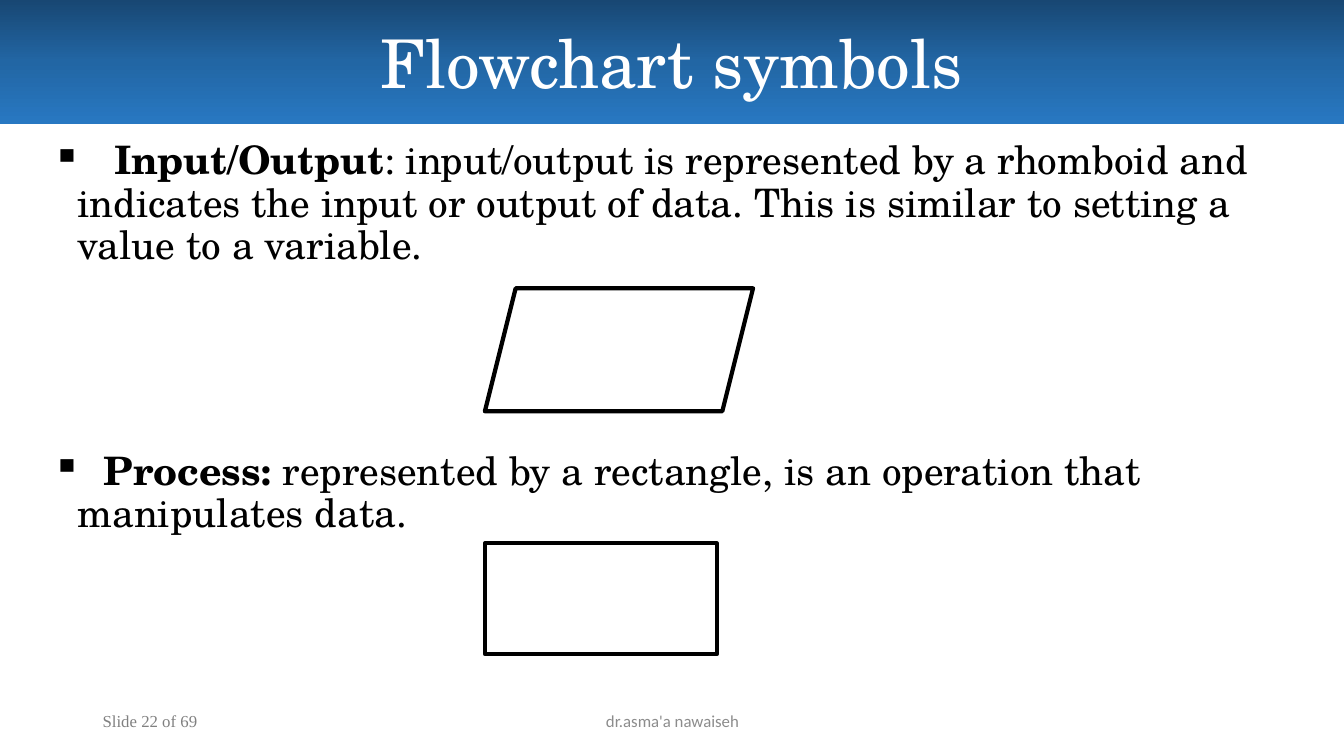
from typing import NamedTuple

from lxml import etree
from pptx import Presentation
from pptx.dml.color import RGBColor
from pptx.enum.shapes import MSO_SHAPE
from pptx.enum.text import MSO_ANCHOR, PP_ALIGN
from pptx.oxml.ns import qn
from pptx.util import Inches, Pt

RECT, RHOMBOID = MSO_SHAPE.RECTANGLE, MSO_SHAPE.PARALLELOGRAM
LEFT, CENTER = PP_ALIGN.LEFT, PP_ALIGN.CENTER
TOP, MIDDLE = MSO_ANCHOR.TOP, MSO_ANCHOR.MIDDLE
SLIDE_W, SLIDE_H = 13.33, 7.5
SERIF = "TeX Gyre Schola"


class Box(NamedTuple):
    """Left, top, width and height as percentages of the slide."""
    x: float
    y: float
    w: float
    h: float

    def emu(self):
        return (Inches(self.x * SLIDE_W / 100), Inches(self.y * SLIDE_H / 100),
                Inches(self.w * SLIDE_W / 100), Inches(self.h * SLIDE_H / 100))


class Symbol(NamedTuple):
    shape: MSO_SHAPE
    box: Box


class Definition(NamedTuple):
    term: str
    text: str
    gap: float      # extra width of the space after the bullet, points
    before: float   # space above, points


class Footer(NamedTuple):
    text: str
    box: Box
    font: str
    color: str
    align: PP_ALIGN


SYMBOLS = [
    Symbol(RHOMBOID, Box(36.08, 38.13, 19.95, 16.27)),
    Symbol(RECT, Box(36.08, 71.87, 17.25, 14.67)),
]
DEFINITIONS = [
    Definition("Input/Output", ": input/output is represented by a rhomboid and "
               "indicates the input or output of data. This is similar to "
               "setting a value to a variable.", 15.6, 0),
    Definition("Process:", " represented by a rectangle, is an operation that "
               "manipulates data.", 7.8, 131),
]
FOOTERS = [
    Footer("Slide 22 of 69", Box(6.9, 92.67, 22.5, 5.33),
           "Times New Roman", "808080", LEFT),
    Footer("dr.asma'a nawaiseh", Box(33.16, 92.67, 33.76, 5.33),
           "Calibri", "8C8C8C", CENTER),
]


def rgb(color: str) -> RGBColor:
    return RGBColor.from_string(color)


def add_run(p, text: str, *, size: float, font: str = SERIF,
            color: str = "000000", bold: bool = False, spacing: float = 0):
    r = p.add_run()
    r.text = text
    f = r.font
    f.size, f.name, f.bold = Pt(size), font, bold
    f.color.rgb = rgb(color)
    if spacing:
        r._r.get_or_add_rPr().set("spc", str(round(spacing * 100)))


def add_text_box(slide, box: Box, anchor: MSO_ANCHOR):
    tf = slide.shapes.add_textbox(*box.emu()).text_frame
    tf.word_wrap = True
    tf.vertical_anchor = anchor
    return tf


def add_plain_shape(slide, shape: MSO_SHAPE, box: Box):
    sp = slide.shapes.add_shape(shape, *box.emu())
    sp.shadow.inherit = False
    return sp


def add_banner(slide, title: str, box: Box, colors: list[str]) -> None:
    sp = add_plain_shape(slide, RECT, box)
    sp.line.fill.background()
    sp.fill.gradient()
    sp.fill.gradient_angle = 270
    stops = sp._element.spPr.find(".//" + qn("a:gsLst"))
    stops.clear()
    for i, color in enumerate(colors):
        stop = etree.SubElement(stops, qn("a:gs"),
                                pos=str(i * 100000 // (len(colors) - 1)))
        etree.SubElement(stop, qn("a:srgbClr"), val=color)
    sp.text_frame.vertical_anchor = MIDDLE
    p = sp.text_frame.paragraphs[0]
    p.alignment = CENTER
    add_run(p, title, size=48, color="FFFFFF")


def add_symbol(slide, symbol: Symbol) -> None:
    sp = add_plain_shape(slide, symbol.shape, symbol.box)
    sp.fill.solid()
    sp.fill.fore_color.rgb = rgb("FFFFFF")
    sp.line.color.rgb = rgb("000000")
    sp.line.width = Pt(3)


def add_definition(p, item: Definition) -> None:
    pPr = p._p.get_or_add_pPr()
    pPr.set("marL", str(Inches(0.25)))
    pPr.set("indent", str(-Inches(0.25)))
    etree.SubElement(pPr, qn("a:buChar"), char="▪")
    p.line_spacing = 0.9
    if item.before:
        p.space_before = Pt(item.before)
    add_run(p, " ", size=28, bold=True, spacing=item.gap)
    add_run(p, item.term, size=28, bold=True)
    add_run(p, item.text, size=28)


def main() -> None:
    prs = Presentation()
    prs.slide_width, prs.slide_height = Inches(SLIDE_W), Inches(SLIDE_H)
    s = prs.slides.add_slide(prs.slide_layouts[6])

    # Definitions
    tf = add_text_box(s, Box(3.15, 18, 93.02, 78), TOP)
    for i, item in enumerate(DEFINITIONS):
        add_definition(tf.add_paragraph() if i else tf.paragraphs[0], item)

    # Title banner
    add_banner(s, "Flowchart symbols", Box(0, 0, 100, 16.4),
               ["184773", "2266A4", "2878C2"])

    # Flowchart symbols
    for symbol in SYMBOLS:
        add_symbol(s, symbol)

    # Footer
    for footer in FOOTERS:
        p = add_text_box(s, footer.box, MIDDLE).paragraphs[0]
        p.alignment = footer.align
        add_run(p, footer.text, size=12, font=footer.font, color=footer.color)

    prs.save("out.pptx")


if __name__ == "__main__":
    main()
